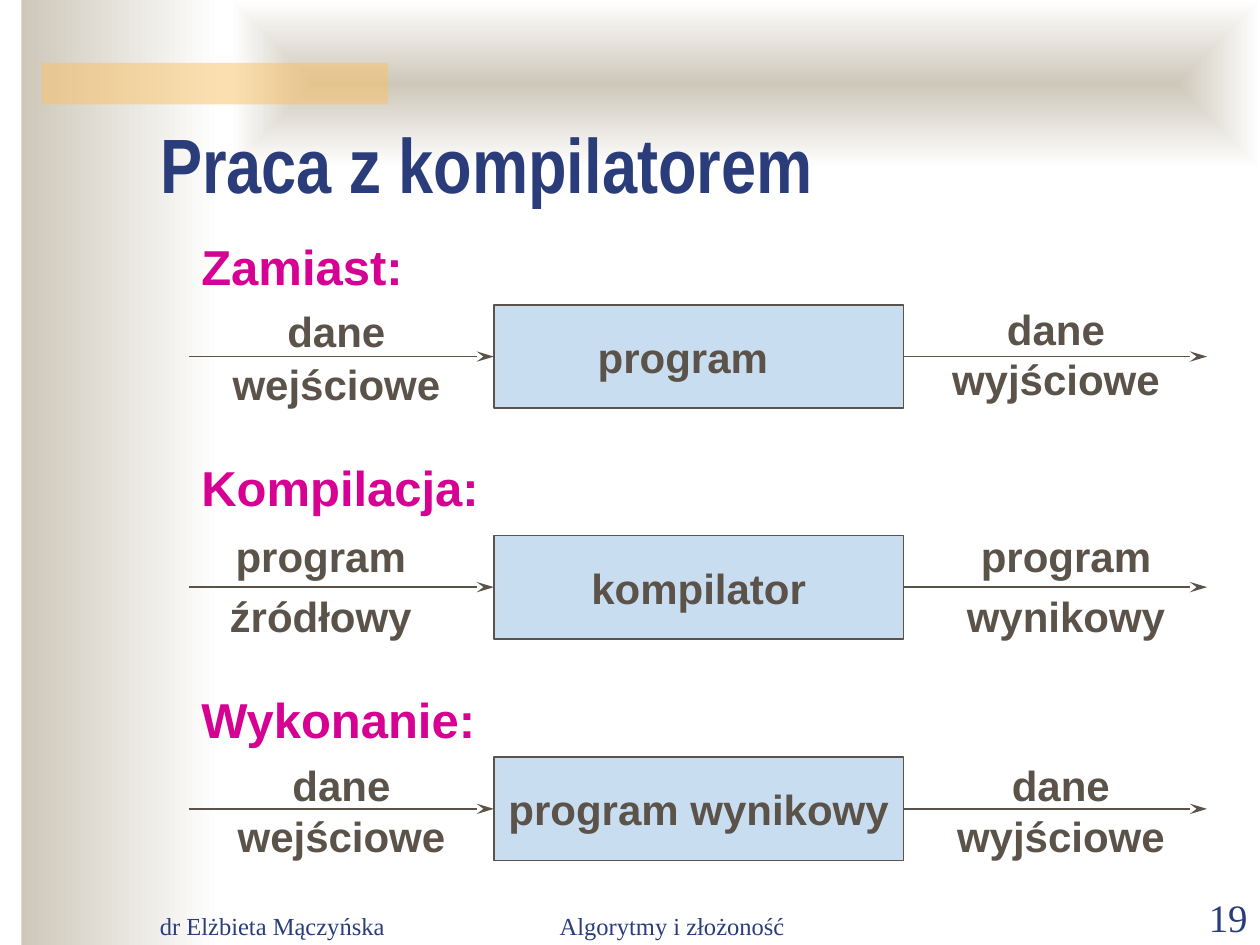
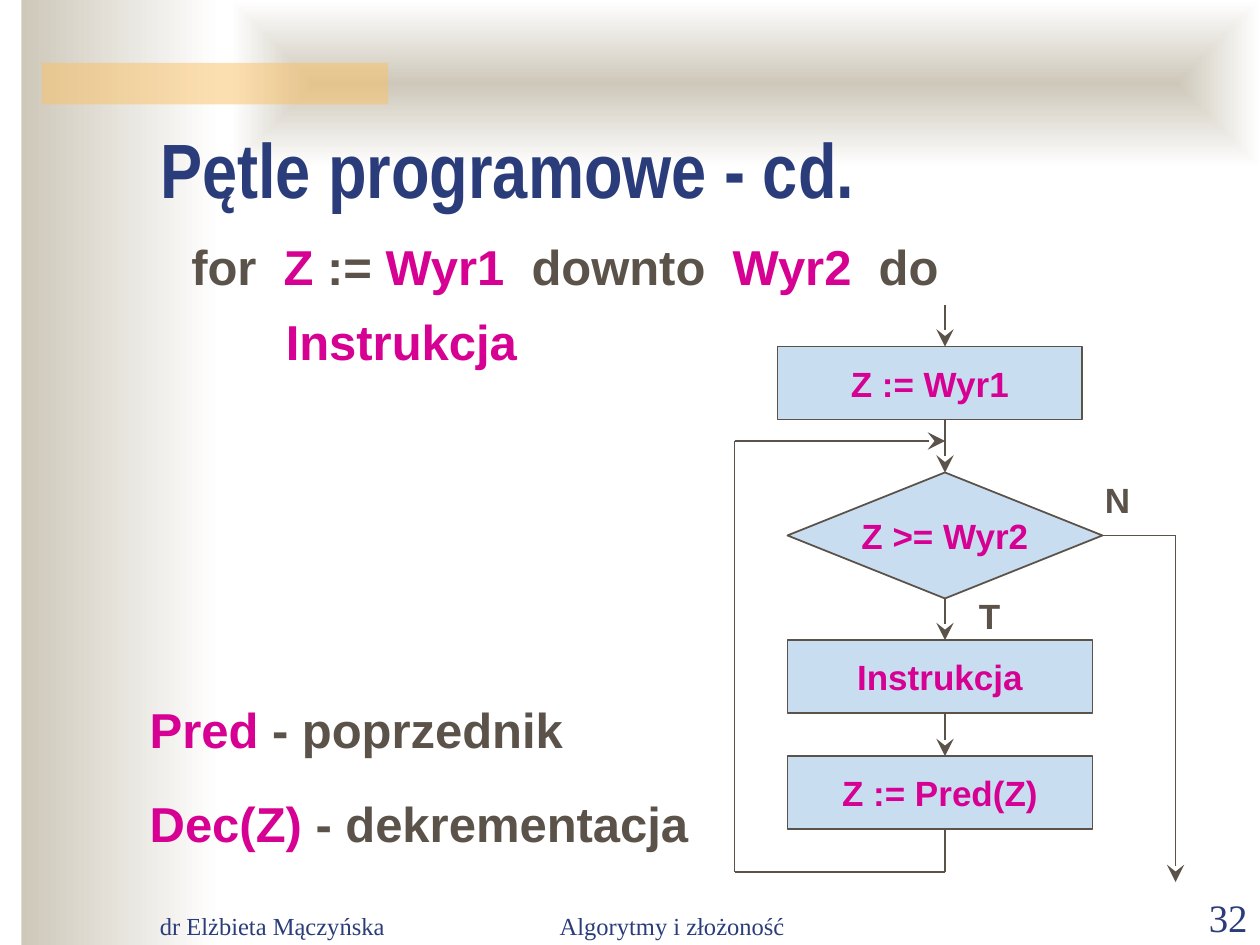
from dataclasses import dataclass
from itertools import pairwise

from lxml import etree
from pptx import Presentation
from pptx import util as u
from pptx.dml.color import RGBColor
from pptx.enum import shapes, text
from pptx.oxml.ns import qn

LEFT, CENTER, RIGHT = text.PP_ALIGN.LEFT, text.PP_ALIGN.CENTER, text.PP_ALIGN.RIGHT
MIDDLE, BOTTOM = text.MSO_ANCHOR.MIDDLE, text.MSO_ANCHOR.BOTTOM
RECT, DIAMOND = shapes.MSO_SHAPE.RECTANGLE, shapes.MSO_SHAPE.DIAMOND
SIDE_TOP, SIDE_LEFT, SIDE_BOTTOM, SIDE_RIGHT = range(4)


@dataclass(frozen=True)
class Theme:
    navy: str = "2A3D7A"
    brown: str = "5B5249"
    magenta: str = "D60093"
    box: str = "C9DDF1"
    sand: str = "CEC8BA"
    white: str = "FFFFFF"
    amber: str = "FAC164"
    title_font: str = "Arial Narrow"
    body_font: str = "Arial"
    footer_font: str = "Times New Roman"
    title: float = 44
    heading: float = 28
    label: float = 24
    chart: float = 20
    number: float = 22.2
    footer: float = 14
    line: float = 1


THEME = Theme()


def write(frame, paragraphs, *, size, color=THEME.brown, font=THEME.body_font, bold=True,
          align=LEFT, anchor=None, wrap=True, spacing=()):
    """Fill a frame; each paragraph is a string or a list of (text, colour) runs."""
    frame.word_wrap = wrap
    if anchor is not None:
        frame.vertical_anchor = anchor
    for index, content in enumerate(paragraphs):
        paragraph = frame.add_paragraph() if index else frame.paragraphs[0]
        paragraph.alignment = align
        if spacing:
            paragraph.line_spacing = spacing[index]
        for words, tint in [(content, color)] if isinstance(content, str) else content:
            run = paragraph.add_run()
            run.text = words
            run.font.name, run.font.size, run.font.bold = font, u.Pt(size), bold
            run.font.color.rgb = RGBColor.from_string(tint)


def place(*lengths):
    return [u.Inches(length) for length in lengths]


class Deck:
    def __init__(self, theme):
        self.theme = theme
        self.prs = Presentation()
        self.prs.slide_width, self.prs.slide_height = place(10, 7.5)
        self.slide = None

    def new_slide(self, title, number, title_height, title_anchor):
        t = self.theme
        self.slide = self.prs.slides.add_slide(self.prs.slide_layouts[5])

        # Background bands
        self.gradient_band((0.17, 0, 1.58, 7.5), "lin", ang="0", scaled="0")
        centre = self.gradient_band((1.83, 0, 8.17, 1.33), "path", path="rect")
        etree.SubElement(centre, qn("a:fillToRect"), {side: "50000" for side in "ltrb"})
        accent = self.shape((0.33, 0.5, 2.75, 0.33), fill=t.amber, outline=False)
        tint = accent._element.spPr.find(".//" + qn("a:srgbClr"))
        etree.SubElement(tint, qn("a:alpha"), val="50000")

        # Title, brought in front of the bands
        heading = self.slide.shapes.title
        self.slide.shapes._spTree.append(heading._element)
        heading.left, heading.top, heading.width, heading.height = place(
            1.17, 0.92, 8.5, title_height)
        heading.text_frame.auto_size = text.MSO_AUTO_SIZE.NONE
        write(heading.text_frame, [title], size=t.title, color=t.navy,
              font=t.title_font, anchor=title_anchor)

        # Footer
        for left, width, words, align, size in (
                (1.17, 2.08, "dr Elżbieta Mączyńska", LEFT, t.footer),
                (3.75, 3.17, "Algorytmy i złożoność", CENTER, t.footer),
                (9, 1, number, RIGHT, t.number)):
            self.text((left, 7.01, width, 0.5), words, grow=False, size=size, bold=False,
                      color=t.navy, font=t.footer_font, align=align, anchor=BOTTOM)

    def shape(self, at, kind=RECT, fill=THEME.box, outline=True):
        shape = self.slide.shapes.add_shape(kind, *place(*at))
        shape.shadow.inherit = False
        shape.fill.solid()
        shape.fill.fore_color.rgb = RGBColor.from_string(fill)
        if outline:
            shape.line.color.rgb = RGBColor.from_string(self.theme.brown)
            shape.line.width = u.Pt(self.theme.line)
        else:
            shape.line.fill.background()
        return shape

    def gradient_band(self, at, direction, **attributes):
        band = self.shape(at, outline=False)
        band.fill.gradient()
        for stop, color in zip(band.fill.gradient_stops, (self.theme.sand, self.theme.white)):
            stop.color.rgb = RGBColor.from_string(color)
        gradient = band._element.spPr.find(qn("a:gradFill"))
        gradient.remove(gradient.find(qn("a:lin")))
        course = etree.Element(qn("a:" + direction), attributes)
        gradient.find(qn("a:gsLst")).addnext(course)
        return course

    def box(self, at, words, kind=RECT, **style):
        box = self.shape(at, kind)
        write(box.text_frame, [words], align=CENTER, anchor=MIDDLE, wrap=False, **style)
        return box

    def text(self, at, *paragraphs, grow=True, **style):
        frame = self.slide.shapes.add_textbox(*place(*at)).text_frame
        write(frame, paragraphs, **style)
        if grow:
            frame.auto_size = text.MSO_AUTO_SIZE.SHAPE_TO_FIT_TEXT

    def line(self, start, end, arrow="lg", begin=None, finish=None):
        """Draw a line; arrow is the head's width, begin and finish are (shape, side) joints."""
        line = self.slide.shapes.add_connector(
            shapes.MSO_CONNECTOR.STRAIGHT, *place(*start, *end))
        line.line.color.rgb = RGBColor.from_string(self.theme.brown)
        line.line.width = u.Pt(self.theme.line)
        properties = line._element.spPr
        if arrow:
            etree.SubElement(properties.find(qn("a:ln")), qn("a:tailEnd"),
                             type="stealth", w=arrow, len="lg")
        etree.SubElement(properties, qn("a:effectLst"))
        if begin:
            line.begin_connect(*begin)
        if finish:
            line.end_connect(*finish)


def compiler_slide(deck):
    t = deck.theme
    deck.new_slide("Praca z kompilatorem", "19", 0.75, MIDDLE)

    # Each stage: heading and its top, box top and text, input and output labels
    stages = (
        ("Zamiast:", 1.83, 2.42, "program",
         ((1.67, 2.36, 2, 0.94), ("dane", "wejściowe"), (1.05, 1.05)),
         ((7.42, 2.36, 1.92, 0.9), ("dane wyjściowe",), ())),
        ("Kompilacja:", 3.58, 4.25, "kompilator",
         ((1.42, 4.08, 2.25, 1.06), ("program", "źródłowy"), (1.2, 1.2)),
         ((7.42, 4.16, 2.08, 0.98), ("program", "wynikowy"), (1, 1.2))),
        ("Wykonanie:", 5.42, 6.01, "program wynikowy",
         ((1.75, 5.98, 1.92, 0.9), ("dane wejściowe",), ()),
         ((7.42, 5.98, 2, 0.9), ("dane wyjściowe",), ())),
    )
    box_left, box_width, box_height = 3.92, 3.25, 0.82
    box_right = box_left + box_width
    for heading, heading_top, top, tool, *flows in stages:
        deck.text((1.5, heading_top, 2.92, 0.57), heading, size=t.heading, color=t.magenta)
        stage = deck.box((box_left, top, box_width, box_height), tool, size=t.label)
        if tool == "program":
            stage.text_frame.margin_right = u.Inches(0.35)
        middle = top + box_height / 2
        deck.line((1.5, middle), (box_left, middle), "med", finish=(stage, SIDE_LEFT))
        deck.line((box_right, middle), (9.58, middle), "med", begin=(stage, SIDE_RIGHT))
        for at, words, spacing in flows:
            deck.text(at, *words, size=t.label, align=CENTER, spacing=spacing)


def loop_slide(deck):
    t = deck.theme
    deck.new_slide("Pętle programowe - cd.", "32", 0.83, BOTTOM)

    # Loop syntax and explanations, with spare width so that each stays on one line
    syntax = [("for  ", t.brown), ("Z ", t.magenta), (":= ", t.brown), ("Wyr1", t.magenta),
              ("  downto  ", t.brown), ("Wyr2 ", t.magenta), (" do", t.brown)]
    for at, runs in (
            ((1.42, 1.83, 6.4, 0.57), syntax),
            ((2.17, 2.42, 2.3, 0.57), [("Instrukcja", t.magenta)]),
            ((1.09, 5.5, 3.7, 0.57), [("Pred ", t.magenta), ("- poprzednik", t.brown)]),
            ((1.09, 6.25, 4.7, 0.57), [("Dec(Z) ", t.magenta), ("- dekrementacja", t.brown)])):
        deck.text(at, runs, size=t.heading)

    # Flowchart steps
    for left, top, step in ((6.17, 2.75, "Z := Wyr1"), (6.25, 5.08, "Instrukcja"),
                            (6.25, 6, "Z := Pred(Z)")):
        deck.box((left, top, 2.42, 0.58), step, size=t.chart, color=t.magenta)
    condition = deck.box((6.25, 3.75, 2.5, 1), "Z >= Wyr2", DIAMOND,
                         size=t.chart, color=t.magenta)

    # Downward flow
    axis = 7.5
    for top, bottom, joints in (
            (2.42, 2.75, {}),
            (3.33, 3.75, {"finish": (condition, SIDE_TOP)}),
            (4.75, 5.08, {"begin": (condition, SIDE_BOTTOM)}),
            (5.67, 6, {})):
        deck.line((axis, top), (axis, bottom), **joints)

    # Way back to the condition
    way_back = [(axis, 6.58), (axis, 6.92), (5.83, 6.92), (5.83, 3.5), (axis, 3.5)]
    for start, end in pairwise(way_back):
        deck.line(start, end, arrow="lg" if end == way_back[-1] else None)

    # Way out of the loop
    deck.line((8.75, 4.25), (9.33, 4.25), arrow=None, begin=(condition, SIDE_RIGHT))
    deck.line((9.33, 4.25), (9.33, 7))

    # Branch labels
    for left, top, answer in ((7.67, 4.67, "T"), (8.67, 3.75, "N")):
        deck.text((left, top, 0.5, 0.44), answer, size=t.chart)


def main():
    deck = Deck(THEME)
    compiler_slide(deck)
    loop_slide(deck)
    deck.prs.save("out.pptx")


if __name__ == "__main__":
    main()
